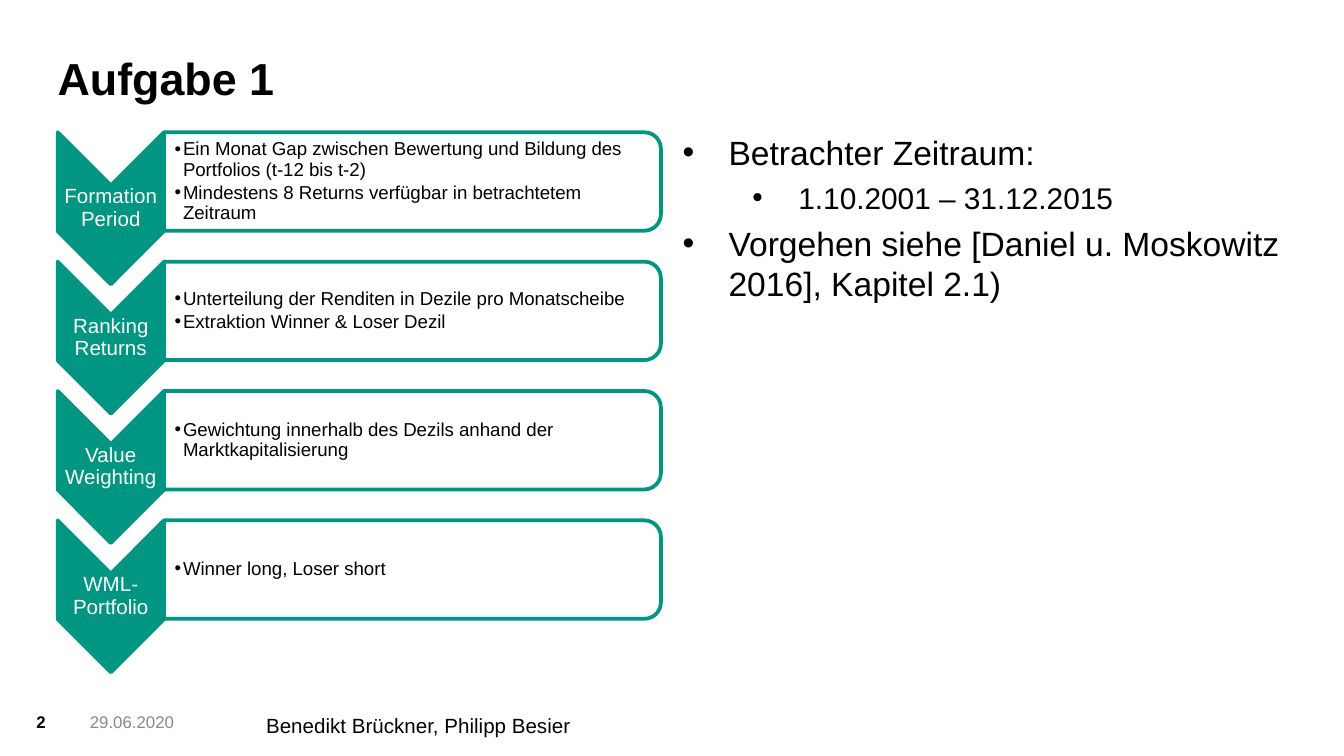
from lxml import etree
from pptx import Presentation
from pptx.dml.color import RGBColor
from pptx.enum.shapes import MSO_SHAPE
from pptx.enum.text import MSO_ANCHOR, PP_ALIGN
from pptx.oxml.ns import qn
from pptx.util import Cm, Pt

CHEVRON = MSO_SHAPE.CHEVRON
PANEL = MSO_SHAPE.ROUND_2_SAME_RECTANGLE
TOP, MIDDLE, BOTTOM = MSO_ANCHOR.TOP, MSO_ANCHOR.MIDDLE, MSO_ANCHOR.BOTTOM
LEFT, CENTER = PP_ALIGN.LEFT, PP_ALIGN.CENTER
GREEN, WHITE, BLACK, GRAY = "009682", "FFFFFF", "000000", "898989"

STEPS = [
    ("Formation Period", [
        "Ein Monat Gap zwischen Bewertung und Bildung des Portfolios (t-12 bis t-2)",
        "Mindestens 8 Returns verfügbar in betrachtetem Zeitraum"]),
    ("Ranking Returns", [
        "Unterteilung der Renditen in Dezile pro Monatscheibe",
        "Extraktion Winner & Loser Dezil"]),
    ("Value Weighting", [
        "Gewichtung innerhalb des Dezils anhand der Marktkapitalisierung"]),
    ("WML-Portfolio", ["Winner long, Loser short"]),
]
NOTES = [
    ("Betrachter Zeitraum:", 18, 0, 0.87),
    ("1.10.2001 – 31.12.2015", 16, 1, 2.19),
    ("Vorgehen siehe [Daniel u. Moskowitz 2016], Kapitel 2.1)", 18, 0, 0.87),
]


def rgb(code):
    return RGBColor.from_string(code)


def add_text(slide, box, lines, size, color=BLACK, bold=False, align=LEFT,
             anchor=TOP, pad=(0, 0, 0, 0)):
    frame = slide.shapes.add_textbox(*map(Cm, box)).text_frame
    frame.word_wrap = True
    frame.vertical_anchor = anchor
    (frame.margin_left, frame.margin_top,
     frame.margin_right, frame.margin_bottom) = map(Cm, pad)
    frame.text = "\n".join(lines)
    for para in frame.paragraphs:
        para.alignment = align
        para.font.name = "Arial"
        para.font.size = Pt(size)
        para.font.bold = bold
        para.font.color.rgb = rgb(color)
    return frame.paragraphs


def add_bullet(para, left, hang):
    props = para._p.get_or_add_pPr()
    props.set("marL", str(Cm(left)))
    props.set("indent", str(-Cm(hang)))
    etree.SubElement(props, qn("a:buFont")).set("typeface", "Arial")
    etree.SubElement(props, qn("a:buChar")).set("char", "•")


def add_turned(slide, kind, box, fill):
    left, top, width, height = box
    shift = (width - height) / 2
    shape = slide.shapes.add_shape(
        kind, Cm(left + shift), Cm(top - shift), Cm(height), Cm(width))
    shape.rotation = 90
    shape.shadow.inherit = False
    shape.fill.solid()
    shape.fill.fore_color.rgb = rgb(fill)
    shape.line.color.rgb = rgb(GREEN)
    shape.line.width = Pt(2)


def add_step(slide, box, label, points):
    left, top, width, height = box
    arrow, panel = 2.01, 1.86
    edge = left + arrow
    rest = width - arrow
    pad = (0.02, 0.02, 0.02, 0.02)
    add_turned(slide, CHEVRON, (left, top, arrow, height), GREEN)
    para, = add_text(slide, (left, top + arrow / 2, arrow, height - arrow),
                     [label], 11, WHITE, align=CENTER, anchor=MIDDLE, pad=pad)
    para.line_spacing = 0.9
    add_turned(slide, PANEL, (edge, top, rest, panel), WHITE)
    for para in add_text(slide, (edge, top + 0.09, rest - 0.1, panel - 0.18),
                         points, 10, anchor=MIDDLE, pad=(0.2, 0.02, 0.02, 0.02)):
        para.line_spacing = 0.9
        para.space_after = Pt(1.5)
        add_bullet(para, 0.16, 0.16)


def add_steps(slide, box):
    left, top, width, height = box
    tall = 2.87
    pitch = (height - tall) / (len(STEPS) - 1)
    for row, (label, points) in enumerate(STEPS):
        add_step(slide, (left, top + row * pitch, width, tall), label, points)


def add_notes(slide, box):
    paras = add_text(slide, box, [note[0] for note in NOTES], 18)
    for para, (_, size, level, left) in zip(paras, NOTES):
        para.level = level
        para.font.size = Pt(size)
        para.space_before = Pt(4)
        add_bullet(para, left, 0.87)


def add_footer(slide, box):
    left, top, width, height = box
    add_text(slide, (left, top, 0.91, height), ["2"], 9, bold=True)
    add_text(slide, (left + 1.01, top, 2.4, height), ["29.06.2020"], 9, GRAY)
    add_text(slide, (left + 4.09, top - 0.1, width - 4.09, height),
             ["Benedikt Brückner, Philipp Besier"], 11,
             pad=(0.25, 0.13, 0.25, 0.13))


def main():
    deck = Presentation()
    deck.slide_width, deck.slide_height = Cm(25.4), Cm(14.28)
    slide = deck.slides.add_slide(deck.slide_layouts[6])
    add_text(slide, (1.09, 0.81, 19.2, 1.17), ["Aufgabe 1"], 24, bold=True,
             anchor=BOTTOM)
    add_steps(slide, (1.09, 2.5, 11.4, 10.2))
    add_notes(slide, (12.9, 2.49, 11.4, 10.19))
    add_footer(slide, (0.69, 13.44, 15.9, 0.76))
    deck.save("out.pptx")


if __name__ == "__main__":
    main()
